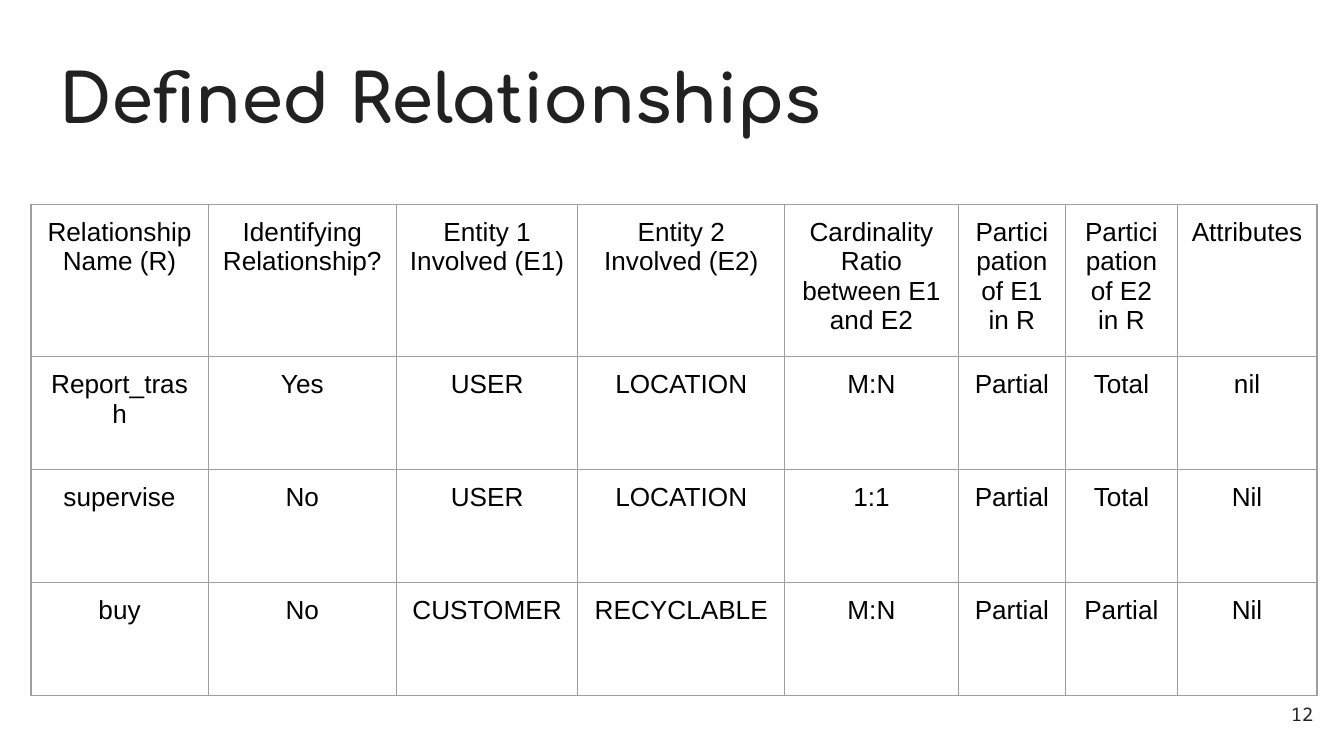
from typing import NamedTuple

from lxml.etree import SubElement
from pptx import Presentation
from pptx.dml.color import RGBColor
from pptx.enum.text import MSO_ANCHOR, PP_ALIGN
from pptx.oxml.ns import qn
from pptx.util import Inches, Pt

INSET = Inches(0.1)
BORDER = "9E9E9E"
INK = "212121"


class Style(NamedTuple):
    font: str
    size: int
    color: str
    align: PP_ALIGN
    anchor: MSO_ANCHOR
    bold: bool = False


class Relationship(NamedTuple):
    name: str
    identifying: str
    entity_1: str
    entity_2: str
    cardinality: str
    participation_1: str
    participation_2: str
    attributes: str


TITLE = Style("Comfortaa", 36, INK, PP_ALIGN.LEFT, MSO_ANCHOR.TOP, True)
PAGE_NUMBER = Style("Noto Sans Mono", 10, INK, PP_ALIGN.RIGHT, MSO_ANCHOR.MIDDLE)
CELL = Style("Arial", 14, "000000", PP_ALIGN.CENTER, MSO_ANCHOR.TOP)

COLUMN_WIDTHS = [1.32, 1.4, 1.35, 1.54, 1.29, 0.8, 0.83, 1.04]
ROW_HEIGHT = 0.84
RELATIONSHIPS = [
    Relationship("Relationship Name (R)", "Identifying Relationship?",
                 "Entity 1 Involved (E1)", "Entity 2 Involved (E2)",
                 "Cardinality Ratio between E1 and E2",
                 "Participation of E1 in R", "Participation of E2 in R", "Attributes"),
    Relationship("Report_trash", "Yes", "USER", "LOCATION", "M:N", "Partial", "Total", "nil"),
    Relationship("supervise", "No", "USER", "LOCATION", "1:1", "Partial", "Total", "Nil"),
    Relationship("buy", "No", "CUSTOMER", "RECYCLABLE", "M:N", "Partial", "Partial", "Nil"),
]


def rgb(color: str) -> RGBColor:
    return RGBColor.from_string(color)


def write(holder, text: str, style: Style) -> None:
    frame = holder.text_frame
    frame.text = text
    frame.word_wrap = True
    paragraph = frame.paragraphs[0]
    paragraph.alignment = style.align
    font = paragraph.runs[0].font
    font.name = style.font
    font.size = Pt(style.size)
    font.bold = style.bold
    font.color.rgb = rgb(style.color)
    SubElement(paragraph._p, qn("a:endParaRPr"), sz=str(style.size * 100))


def set_margins(holder, anchor: MSO_ANCHOR) -> None:
    holder.margin_left = holder.margin_right = INSET
    holder.margin_top = holder.margin_bottom = INSET
    holder.vertical_anchor = anchor


def add_borders(cell) -> None:
    properties = cell._tc.get_or_add_tcPr()
    for position, side in enumerate(("a:lnL", "a:lnR", "a:lnT", "a:lnB")):
        line = SubElement(properties, qn(side), w=str(Pt(0.75)))
        fill = SubElement(line, qn("a:solidFill"))
        SubElement(fill, qn("a:srgbClr"), val=BORDER)
        properties.insert(position, line)


def add_title(slide, text: str) -> None:
    title = slide.shapes.title
    title.left, title.top = Inches(0.34), Inches(0.32)
    title.width, title.height = Inches(9.32), Inches(0.88)
    write(title, text, TITLE)
    set_margins(title.text_frame, TITLE.anchor)


def add_page_number(slide, number: str) -> None:
    page = slide.shapes.add_textbox(Inches(9.27), Inches(5.1), Inches(0.6), Inches(0.43))
    write(page, number, PAGE_NUMBER)
    set_margins(page.text_frame, PAGE_NUMBER.anchor)


def add_relationships(slide, relationships: list[Relationship]) -> None:
    table = slide.shapes.add_table(
        len(relationships), len(COLUMN_WIDTHS), Inches(0.23), Inches(1.52),
        Inches(sum(COLUMN_WIDTHS)), Inches(ROW_HEIGHT * len(relationships))).table
    table.first_row = False
    table.horz_banding = False
    for column, width in zip(table.columns, COLUMN_WIDTHS):
        column.width = Inches(width)
    for row, relationship in zip(table.rows, relationships):
        row.height = Inches(ROW_HEIGHT)
        for cell, text in zip(row.cells, relationship):
            write(cell, text, CELL)
            set_margins(cell, CELL.anchor)
            cell.fill.background()
            add_borders(cell)


def main() -> None:
    presentation = Presentation()
    presentation.slide_width = Inches(10)
    presentation.slide_height = Inches(5.625)
    slide = presentation.slides.add_slide(presentation.slide_layouts[5])
    slide.background.fill.solid()
    slide.background.fill.fore_color.rgb = rgb("FFFFFF")
    add_title(slide, "Defined Relationships")
    add_page_number(slide, "12")
    add_relationships(slide, RELATIONSHIPS)
    presentation.save("out.pptx")


if __name__ == "__main__":
    main()
